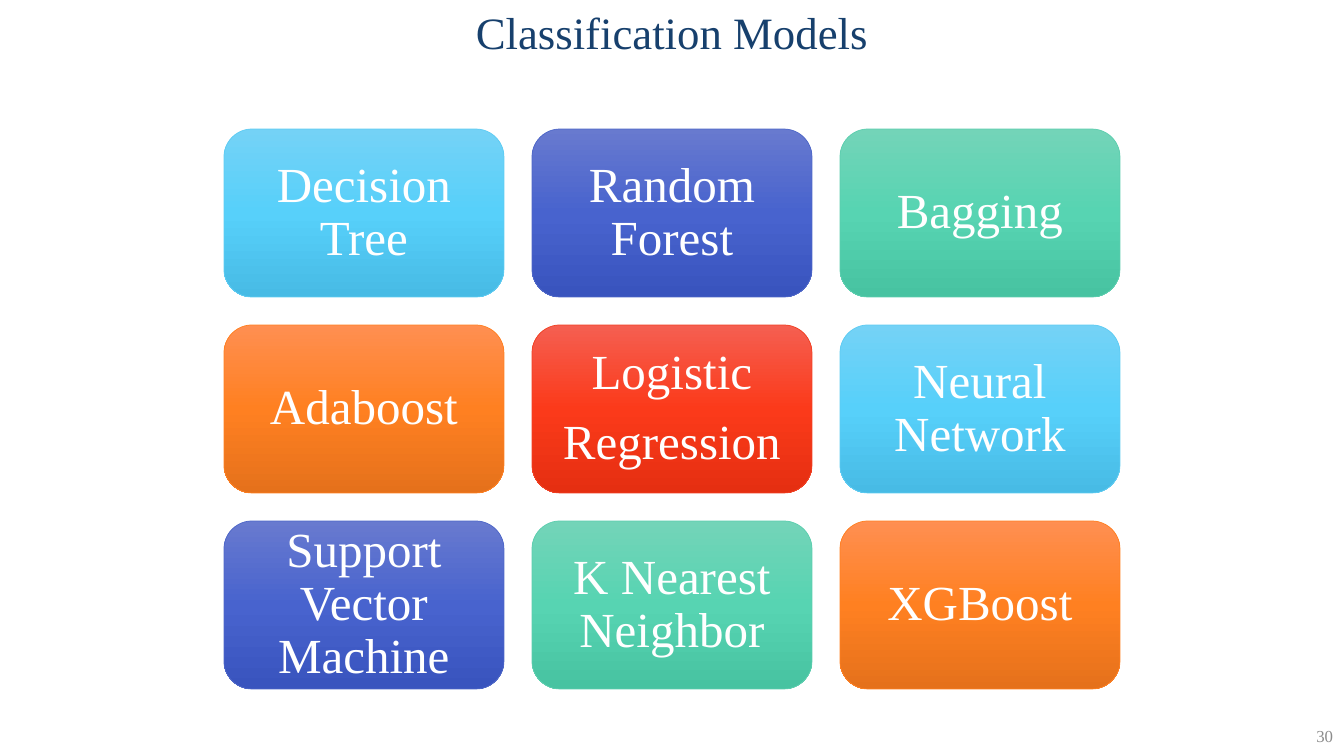
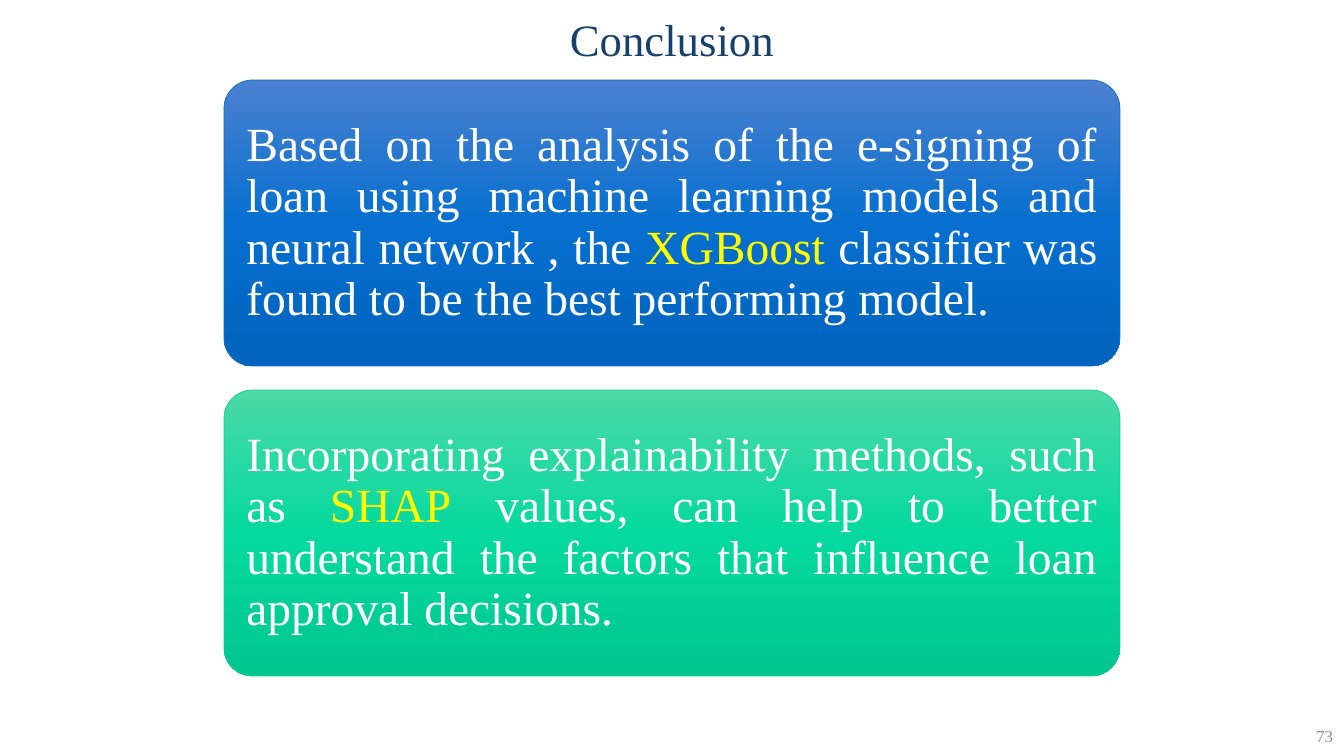
from copy import deepcopy

from pptx import Presentation, util as u
from pptx.dml.color import RGBColor
from pptx.enum import shapes, text
from pptx.oxml.ns import qn

SCALE = 914400 / 100.8
FONT = "Times New Roman"
WHITE = RGBColor(0xFF, 0xFF, 0xFF)
YELLOW = RGBColor(0xFF, 0xFF, 0x00)
NAVY = RGBColor(0x17, 0x40, 0x6D)
GREY = RGBColor(0x8C, 0x8C, 0x8C)


def palette(line, *stops):
    return RGBColor.from_string(line), [RGBColor.from_string(stop) for stop in stops]


SKY = palette("5ECCF3", "74D2F6", "57D0FA", "47BBE5")
INDIGO = palette("4E67C8", "687ACF", "4863CE", "3954BE")
TEAL = palette("5DCEAF", "73D4B8", "57D4B2", "47C3A1")
ORANGE = palette("FF8021", "FF8F51", "FF8021", "E5711B")
RED = palette("F14124", "F55F51", "FB3A1A", "E52F11")
BLUE = palette("0F6FC6", "4C80D0", "066FCF", "0063BD")
GREEN = palette("10CF9B", "4CD9A7", "06D99F", "00C690")

MODELS = [
    (["Decision Tree"], SKY),
    (["Random Forest"], INDIGO),
    (["Bagging"], TEAL),
    (["Adaboost"], ORANGE),
    (["Logistic", "Regression"], RED),
    (["Neural Network"], SKY),
    (["Support Vector Machine"], INDIGO),
    (["K Nearest Neighbor"], TEAL),
    (["XGBoost"], ORANGE),
]

CONCLUSIONS = [
    ([("Based on the analysis of the e-signing of loan using machine learning "
       "models and neural network , the ", WHITE),
      ("XGBoost", YELLOW),
      (" classifier was found to be the best performing model.", WHITE)], BLUE),
    ([("Incorporating explainability methods, such as ", WHITE),
      ("SHAP", YELLOW),
      (" values, can help to better understand the factors that influence "
       "loan approval decisions.", WHITE)], GREEN),
]


def px(length):
    return u.Emu(round(length * SCALE))


class Deck:
    def __init__(self):
        self.presentation = Presentation()
        self.presentation.slide_width = px(1344)
        self.presentation.slide_height = px(756)

    def add_slide(self, title, title_top, number):
        layout = self.presentation.slide_layouts[6]
        self.slide = self.presentation.slides.add_slide(layout)
        self.label(number, (1041, 716, 302, 40), 12, GREY, text.PP_ALIGN.RIGHT,
                   text.MSO_ANCHOR.MIDDLE)
        self.label(title, (336, title_top, 672, 64), 32, NAVY, text.PP_ALIGN.CENTER,
                   text.MSO_ANCHOR.TOP)

    def style(self, paragraph, size, alignment):
        paragraph.alignment = alignment
        paragraph.font.name = FONT
        paragraph.font.size = u.Pt(size)

    def label(self, words, box, size, color, alignment, anchor):
        frame = self.slide.shapes.add_textbox(*map(px, box)).text_frame
        frame.word_wrap = True
        frame.vertical_anchor = anchor
        paragraph = frame.paragraphs[0]
        paragraph.text = words
        self.style(paragraph, size, alignment)
        paragraph.font.color.rgb = color

    def card(self, box, colors, inset):
        shape = self.slide.shapes.add_shape(
            shapes.MSO_SHAPE.ROUNDED_RECTANGLE, *map(px, box))
        shape.shadow.inherit = False
        line_color, stop_colors = colors
        shape.line.color.rgb = line_color
        shape.line.width = u.Pt(0.5)
        shape.fill.gradient()
        shape.fill.gradient_angle = 270
        stop_list = shape._element.spPr.find(".//" + qn("a:gsLst"))
        stop_list.append(deepcopy(stop_list[-1]))
        for index, (stop, color) in enumerate(zip(shape.fill.gradient_stops, stop_colors)):
            stop.position = index / 2
            stop.color.rgb = color
        frame = shape.text_frame
        frame.word_wrap = True
        frame.vertical_anchor = text.MSO_ANCHOR.MIDDLE
        frame.margin_left = frame.margin_right = px(inset)
        frame.margin_top = frame.margin_bottom = px(inset)
        return shape

    def card_paragraph(self, paragraph, size, alignment):
        self.style(paragraph, size, alignment)
        paragraph.line_spacing = 0.9
        paragraph.space_after = u.Pt(12)

    def model_card(self, box, lines, colors):
        frame = self.card(box, colors, 15).text_frame
        frame.text = "\n".join(lines)
        for paragraph in frame.paragraphs:
            self.card_paragraph(paragraph, 35, text.PP_ALIGN.CENTER)
            paragraph.font.color.rgb = WHITE

    def conclusion_card(self, box, runs, colors):
        shape = self.card(box, colors, 14)
        shape.adjustments[0] = 0.1
        paragraph = shape.text_frame.paragraphs[0]
        self.card_paragraph(paragraph, 34, text.PP_ALIGN.JUSTIFY)
        for words, color in runs:
            run = paragraph.add_run()
            run.text = words
            run.font.color.rgb = color


def main():
    deck = Deck()

    deck.add_slide("Classification Models", 0, "30")
    width, height, gap = 280, 168, 28
    for index, (lines, colors) in enumerate(MODELS):
        row, column = divmod(index, 3)
        box = (224 + column * (width + gap), 129 + row * (height + gap), width, height)
        deck.model_card(box, lines, colors)

    deck.add_slide("Conclusion", 7, "73")
    height, gap = 286, 24
    for row, (runs, colors) in enumerate(CONCLUSIONS):
        deck.conclusion_card((224, 80 + row * (height + gap), 896, height), runs, colors)

    deck.presentation.save("out.pptx")


if __name__ == "__main__":
    main()
